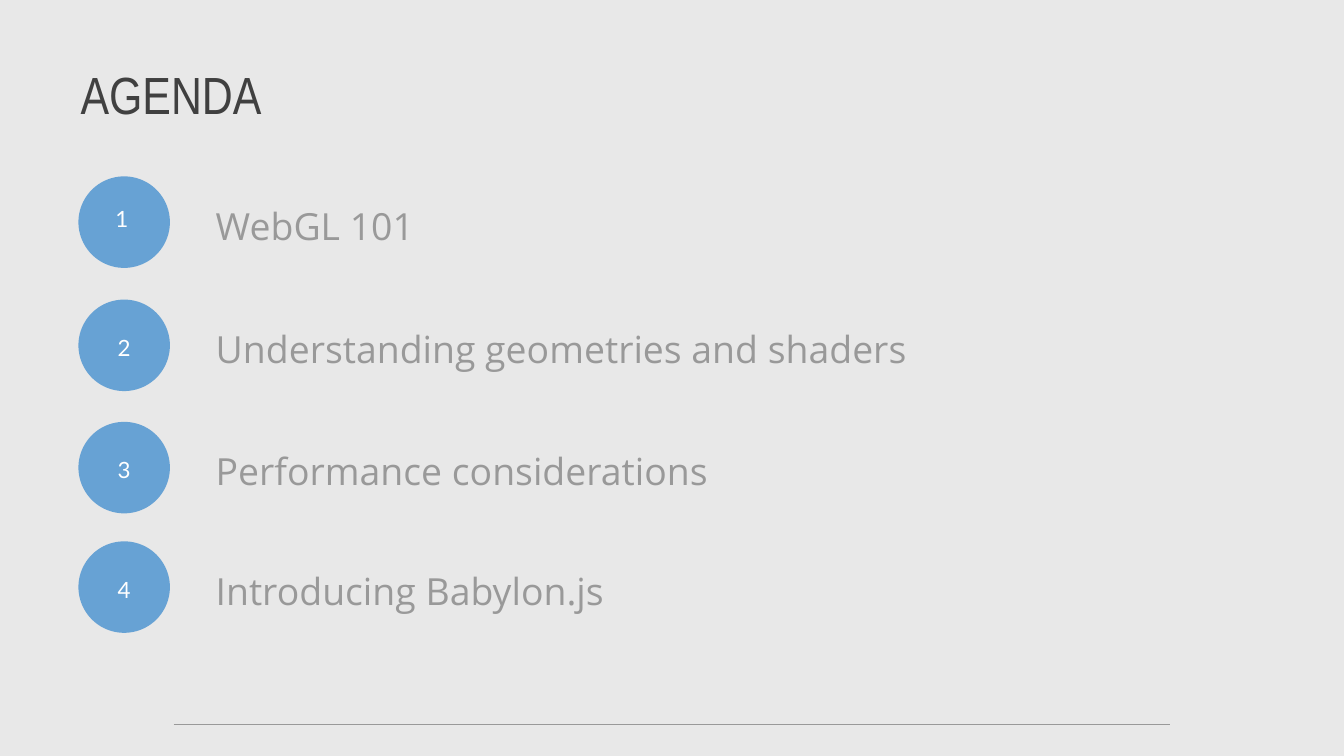
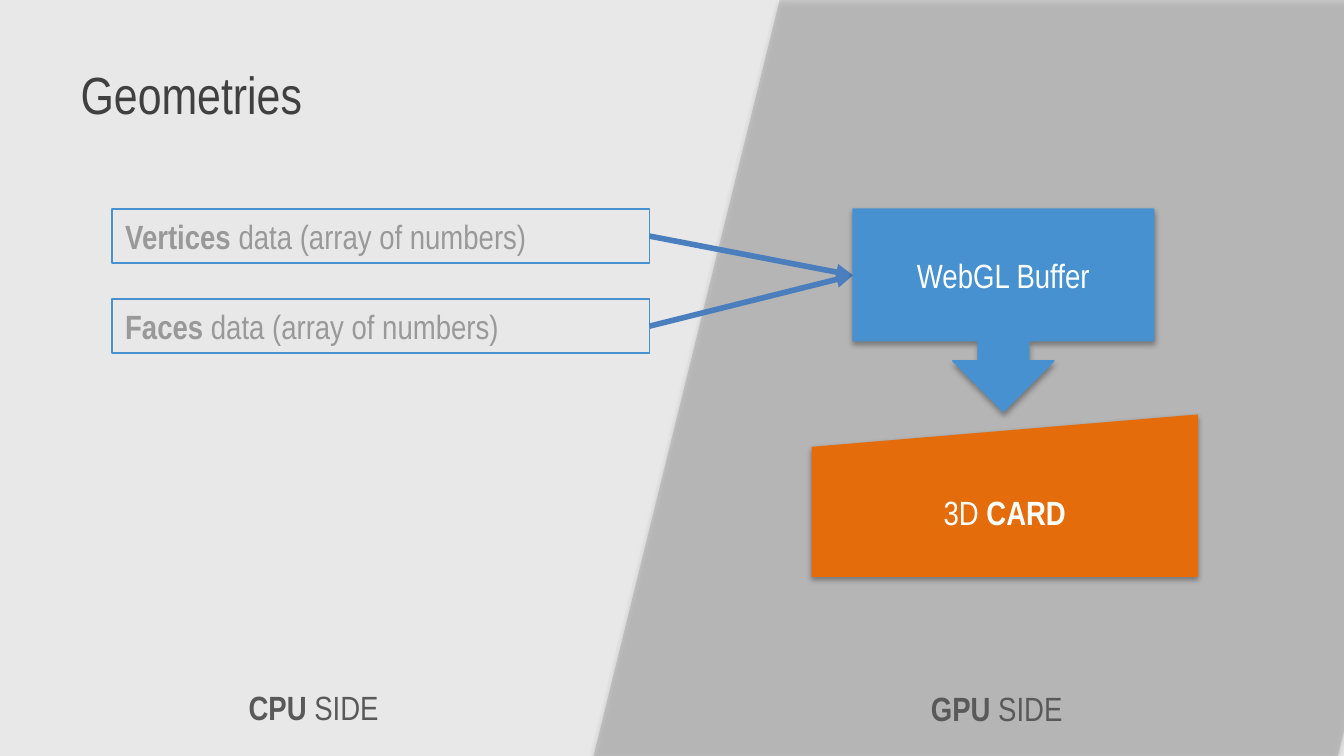
from lxml.etree import SubElement
from pptx import Presentation
from pptx.dml.color import RGBColor
from pptx.enum.shapes import MSO_CONNECTOR, MSO_SHAPE
from pptx.enum.text import MSO_ANCHOR, MSO_AUTO_SIZE, PP_ALIGN
from pptx.oxml.ns import qn
from pptx.util import Pt

PAPER = RGBColor(0xE8, 0xE8, 0xE8)
DARK = RGBColor(0x40, 0x40, 0x40)
SLATE = RGBColor(0x59, 0x59, 0x59)
GREY = RGBColor(0x99, 0x99, 0x99)
BLUE = RGBColor(0x47, 0x91, 0xD0)
STEEL = RGBColor(0x4B, 0x7E, 0xBC)
ORANGE = RGBColor(0xE4, 0x6C, 0x0A)
WHITE = RGBColor(0xFF, 0xFF, 0xFF)

HEAD = {"name": "Arial Narrow", "size": Pt(28), "color": DARK}
BADGE = {"name": "Lato", "size": Pt(12), "color": WHITE}
TOPIC = {"name": "Open Sans", "size": Pt(20), "color": GREY}
DATA = {"name": "Arial Narrow", "size": Pt(18), "color": GREY}
LABEL = {**DATA, "color": WHITE}
SIDE = {**DATA, "color": SLATE}


class Deck:
    def __init__(self):
        self.prs = Presentation()
        self.prs.slide_width, self.prs.slide_height = Pt(720), Pt(405)
        fill = self.prs.slide_master.background.fill
        fill.solid()
        fill.fore_color.rgb = PAPER
        self.page = None

    def start(self):
        self.page = self.prs.slides.add_slide(self.prs.slide_layouts[5])

    def label(self, shape, runs, style, align=PP_ALIGN.LEFT,
              anchor=MSO_ANCHOR.TOP, fit=MSO_AUTO_SIZE.NONE):
        """Fill a shape with one paragraph of (text, bold) runs."""
        frame = shape.text_frame
        frame.word_wrap = True
        frame.auto_size = fit
        frame.vertical_anchor = anchor
        par = frame.paragraphs[0]
        par.alignment = align
        for text, bold in runs:
            run = par.add_run()
            run.text = text
            run.font.bold = bold
            for key, value in style.items():
                if key == "color":
                    run.font.color.rgb = value
                else:
                    setattr(run.font, key, value)

    def title(self, text):
        box = self.page.shapes.title
        place = {"left": 36, "top": 16.5, "width": 648, "height": 67.5}
        for key, value in place.items():
            setattr(box, key, Pt(value))
        self.label(box, [(text, False)], HEAD, anchor=MSO_ANCHOR.MIDDLE)
        self.page.shapes._spTree.append(box._element)

    def text(self, at, runs, style, align=PP_ALIGN.LEFT):
        box = self.page.shapes.add_textbox(*map(Pt, at))
        self.label(box, runs, style, align, fit=MSO_AUTO_SIZE.SHAPE_TO_FIT_TEXT)

    def shape(self, kind, at, fill=None, line=None, alpha=None, shade=False):
        item = self.page.shapes.add_shape(kind, *map(Pt, at))
        item.shadow.inherit = False
        props = item._element.spPr
        if fill is None:
            item.fill.background()
        else:
            item.fill.solid()
            item.fill.fore_color.rgb = fill
        if alpha:
            tint = props.find(qn("a:solidFill")).find(qn("a:srgbClr"))
            SubElement(tint, qn("a:alpha"), val=str(alpha * 1000))
        if line is None:
            item.line.fill.background()
        else:
            item.line.color.rgb = line
            item.line.width = Pt(0.75)
        if shade:
            drop = SubElement(props.find(qn("a:effectLst")), qn("a:outerShdw"),
                              blurRad=str(Pt(3.1)), dist=str(Pt(1.8)),
                              dir="5400000", algn="t", rotWithShape="0")
            tint = SubElement(drop, qn("a:srgbClr"), val="000000")
            SubElement(tint, qn("a:alpha"), val="35000")
        return item

    def line(self, ends, color, width, source=None, arrow=False):
        link = self.page.shapes.add_connector(MSO_CONNECTOR.STRAIGHT,
                                              *map(Pt, ends))
        link.line.color.rgb = color
        link.line.width = Pt(width)
        if source is not None:
            link.begin_connect(source, 3)
        props = link._element.spPr
        if arrow:
            SubElement(props.find(qn("a:ln")), qn("a:tailEnd"), type="triangle")
        SubElement(props, qn("a:effectLst"))


def agenda(deck):
    deck.start()
    deck.title("AGENDA")
    deck.line((93, 388, 627, 388), GREY, 0.75)

    # Numbered topics: circle top, place of the number, wording
    rows = [(94.5, (48.25, 12), "WebGL 101"),
            (160.5, (49.5, 15), "Understanding geometries and shaders"),
            (226, (49.5, 15), "Performance considerations"),
            (290, (49.5, 15), "Introducing Babylon.js")]
    for num, (top, (left, drop), topic) in enumerate(rows, 1):
        deck.shape(MSO_SHAPE.OVAL, (42, top, 49, 49), BLUE, alpha=80)
        deck.text((left, top + drop, 34, 21.5), [(str(num), False)], BADGE,
                  PP_ALIGN.CENTER)
        deck.text((108.5, top + 10.75, 504, 31.5), [(topic, False)], TOPIC)


def shapes(deck):
    deck.start()

    # Slanted panel behind the GPU half
    deck.shape(MSO_SHAPE.FLOWCHART_DATA, (318, 0, 498.5, 405), GREY,
               alpha=39, shade=True)
    deck.title("Geometries")

    # Data arrays and their arrows into the buffer
    for top, name in ((112, "Vertices"), (160.25, "Faces")):
        box = deck.shape(MSO_SHAPE.RECTANGLE, (60, top, 288, 29), line=BLUE)
        deck.label(box, [(name, True), (" data (array of numbers)", False)],
                   DATA, fit=MSO_AUTO_SIZE.SHAPE_TO_FIT_TEXT)
        deck.line((348, top + 14.5, 457, 147.5), STEEL, 3, box, arrow=True)

    # Buffer and card
    blocks = [(MSO_SHAPE.DOWN_ARROW_CALLOUT, (457, 112, 161, 108.5), BLUE, BLUE,
               [("WebGL Buffer", False)]),
              (MSO_SHAPE.FLOWCHART_MANUAL_INPUT, (434.75, 222, 207, 87), ORANGE,
               None, [("3D ", False), ("CARD", True)])]
    for kind, at, fill, line, runs in blocks:
        block = deck.shape(kind, at, fill, line, shade=True)
        deck.label(block, runs, LABEL, PP_ALIGN.CENTER, MSO_ANCHOR.MIDDLE)

    # Names of the two halves
    for left, top, name in ((60, 364.5, "CPU"), (426, 365, "GPU")):
        deck.text((left, top, 216, 29), [(name, True), (" SIDE", False)], SIDE,
                  PP_ALIGN.CENTER)


def main():
    deck = Deck()
    agenda(deck)
    shapes(deck)
    deck.prs.save("out.pptx")


if __name__ == "__main__":
    main()
